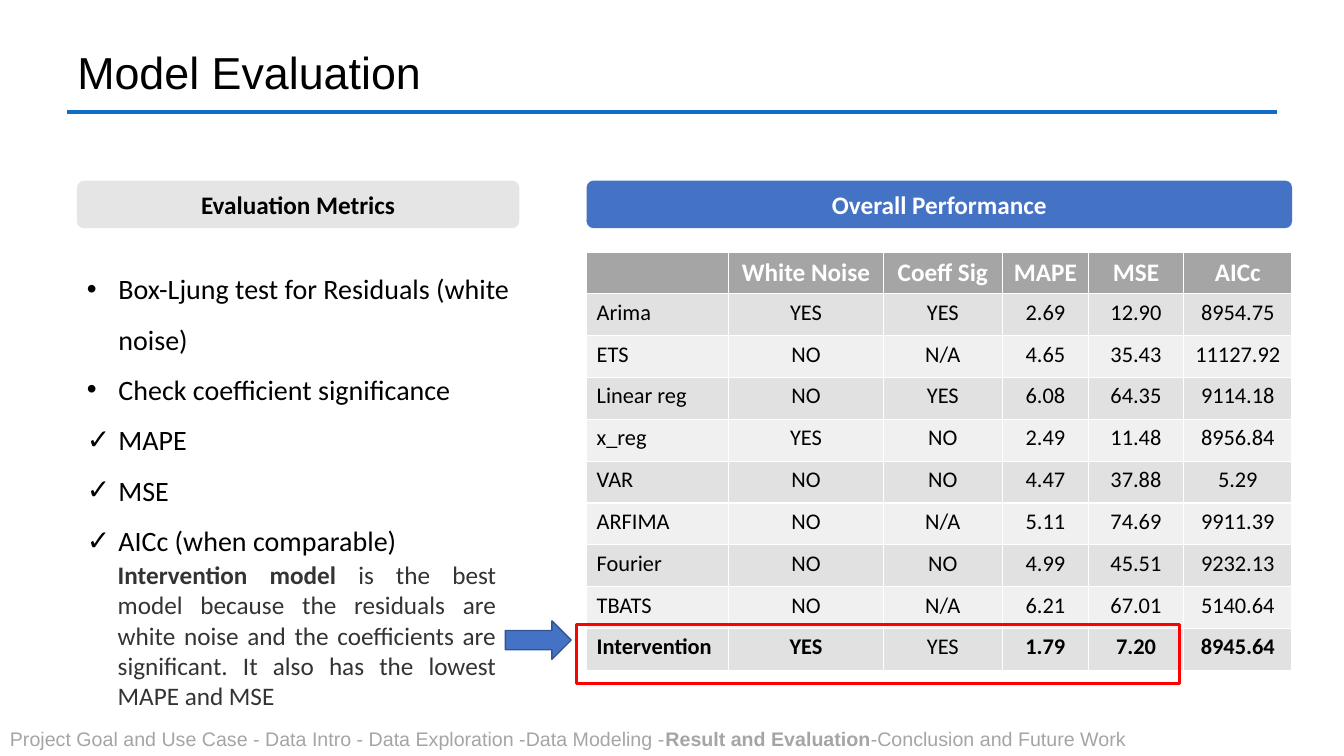
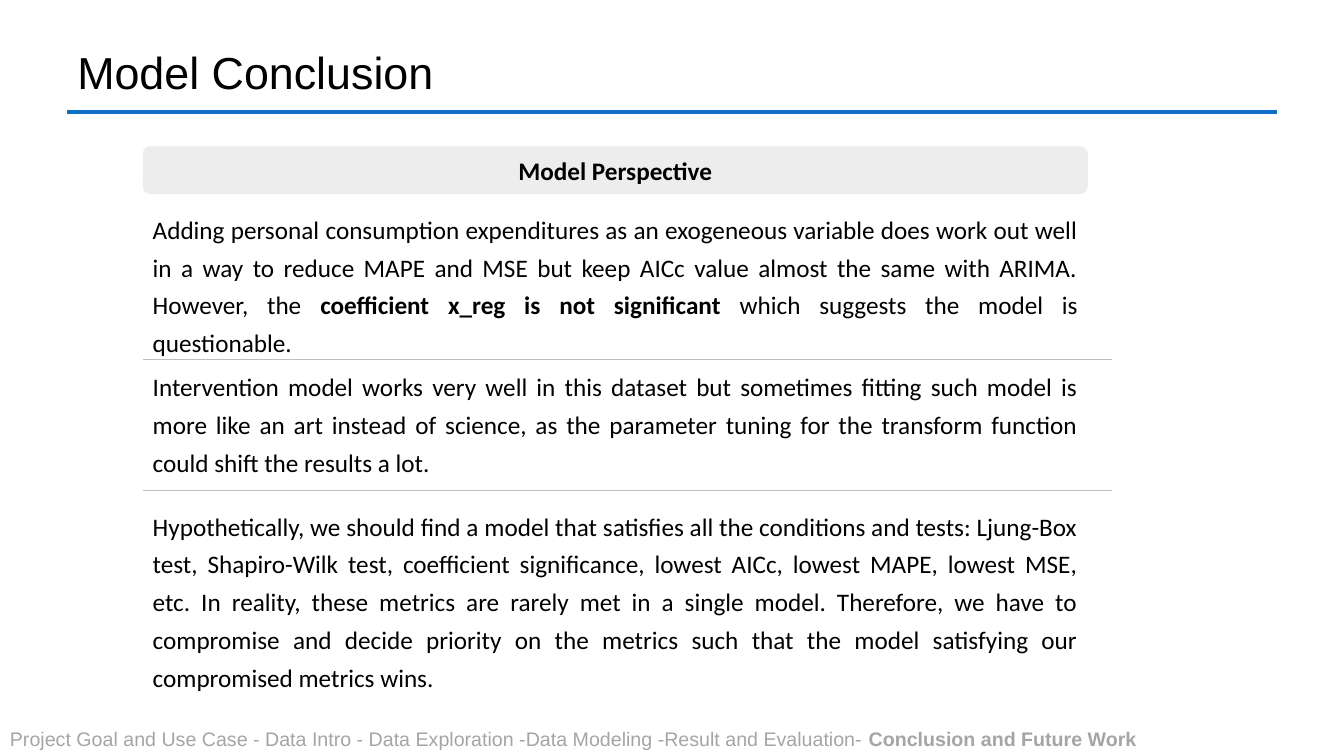
from lxml import etree
from pptx import Presentation
from pptx.dml.color import RGBColor
from pptx.enum.shapes import MSO_CONNECTOR, MSO_SHAPE
from pptx.enum.text import MSO_ANCHOR, PP_ALIGN
from pptx.oxml.ns import qn
from pptx.util import Pt

LEFT, CENTER, JUSTIFY = PP_ALIGN.LEFT, PP_ALIGN.CENTER, PP_ALIGN.JUSTIFY
MIDDLE = MSO_ANCHOR.MIDDLE
STRAIGHT = MSO_CONNECTOR.STRAIGHT
ROUNDED, RECTANGLE = MSO_SHAPE.ROUNDED_RECTANGLE, MSO_SHAPE.RECTANGLE
RIGHT_ARROW = MSO_SHAPE.RIGHT_ARROW

BLACK, WHITE, CHARCOAL = "000000", "FFFFFF", "333333"
GRAY, MID_GRAY, LINE_GRAY = "A5A5A5", "808080", "BFBFBF"
TITLE_BLUE, BLUE, DARK_BLUE, RED = "0F6FC6", "4472C4", "325491", "FF0000"
BANDS = ("E1E1E1", "F0F0F0")
HEADING_FONT, BODY_FONT = "Arial", "Calibri"


def rgb(value):
    return RGBColor.from_string(value)


def write(paragraph, text, size, color, align=LEFT, font=BODY_FONT, spacing=1.0):
    """Fill a paragraph; stretches between ** marks become bold."""
    paragraph.alignment = align
    paragraph.line_spacing = spacing
    paragraph.font.size = Pt(size)
    paragraph.font.name = font
    paragraph.font.color.rgb = rgb(color)
    for index, part in enumerate(text.split("**")):
        if part:
            run = paragraph.add_run()
            run.text = part
            run.font.bold = index % 2 == 1


prs = Presentation()
prs.slide_width, prs.slide_height = Pt(960), Pt(540)
title_only = prs.slide_layouts[5]

# Title, rule and footer on both slides
pages = [
    ("Model Evaluation",
     "Project Goal and Use Case - Data Intro - Data Exploration -Data Modeling -"
     "**Result and Evaluation**-Conclusion and Future Work"),
    ("Model Conclusion",
     "Project Goal and Use Case - Data Intro - Data Exploration -Data Modeling -"
     "Result and Evaluation- **Conclusion and Future Work**"),
]
rules = []
passages = []
for heading, trail in pages:
    slide = prs.slides.add_slide(title_only)
    title = slide.shapes.title
    title.left, title.top, title.width, title.height = Pt(48), Pt(28), Pt(828), Pt(51)
    title.text_frame.vertical_anchor = MIDDLE
    write(title.text_frame.paragraphs[0], heading, 32, BLACK,
          font=HEADING_FONT, spacing=0.9)
    rules.append((slide, 48, 912, 80, TITLE_BLUE, 3))
    passages.append((slide, (0, 515.5, 857, 24.5), trail, 14, GRAY, LEFT, HEADING_FONT, 1.0))
evaluation, conclusion = prs.slides

# Section banners: slide, left, top, width, label, fill, opacity, text colour
banners = [
    (evaluation, 55, 129, 316, "Evaluation Metrics", MID_GRAY, 20, BLACK),
    (evaluation, 419, 129, 504, "Overall Performance", BLUE, 100, WHITE),
    (conclusion, 102, 104.5, 675, "Model Perspective", GRAY, 20, BLACK),
]
for slide, left, top, width, label, fill, opacity, color in banners:
    banner = slide.shapes.add_shape(ROUNDED, Pt(left), Pt(top), Pt(width), Pt(34))
    banner.adjustments[0] = 0.15
    banner.shadow.inherit = False
    banner.fill.solid()
    banner.fill.fore_color.rgb = rgb(fill)
    banner.line.fill.background()
    if opacity < 100:
        tint = banner._element.spPr.find(qn("a:solidFill"))[0]
        etree.SubElement(tint, qn("a:alpha")).set("val", str(opacity * 1000))
    banner.text_frame.word_wrap = False
    banner.text_frame.vertical_anchor = MIDDLE
    write(banner.text_frame.paragraphs[0], f"**{label}**", 18, color, CENTER)

# Evaluation metrics list
metrics = [
    ("•", "Box-Ljung test for Residuals (white noise)"),
    ("•", "Check coefficient significance"),
    ("✓", "MAPE"),
    ("✓", "MSE"),
    ("✓", "AICc (when comparable)"),
]
metric_frame = evaluation.shapes.add_textbox(Pt(55), Pt(178.5), Pt(316), Pt(258)).text_frame
metric_frame.word_wrap = True
for index, (mark, metric) in enumerate(metrics):
    paragraph = metric_frame.add_paragraph() if index else metric_frame.paragraphs[0]
    properties = paragraph._p.get_or_add_pPr()
    properties.set("marL", str(Pt(22.5)))
    properties.set("indent", str(-Pt(22.5)))
    etree.SubElement(properties, qn("a:buFont")).set("typeface", HEADING_FONT)
    etree.SubElement(properties, qn("a:buChar")).set("char", mark)
    write(paragraph, metric, 20, BLACK, spacing=1.5)

# Performance table
results = [
    ("", "**White Noise**", "**Coeff Sig**", "**MAPE**", "**MSE**", "**AICc**"),
    ("Arima", "YES", "YES", "2.69", "12.90", "8954.75"),
    ("ETS", "NO", "N/A", "4.65", "35.43", "11127.92"),
    ("Linear reg", "NO", "YES", "6.08", "64.35", "9114.18"),
    ("x_reg", "YES", "NO", "2.49", "11.48", "8956.84"),
    ("VAR", "NO", "NO", "4.47", "37.88", "5.29"),
    ("ARFIMA", "NO", "N/A", "5.11", "74.69", "9911.39"),
    ("Fourier", "NO", "NO", "4.99", "45.51", "9232.13"),
    ("TBATS", "NO", "N/A", "6.21", "67.01", "5140.64"),
    ("**Intervention**", "**YES**", "YES", "**1.79**", "**7.20**", "**8945.64**"),
]
column_widths = (101.5, 110.5, 85, 61.5, 68, 77.5)
row_height = 29.9
performance = evaluation.shapes.add_table(
    len(results), len(column_widths), Pt(419), Pt(180),
    Pt(sum(column_widths)), Pt(row_height * len(results))).table
for column, width in zip(performance.columns, column_widths):
    column.width = Pt(width)
for r, values in enumerate(results):
    performance.rows[r].height = Pt(row_height)
    for c, value in enumerate(values):
        cell = performance.cell(r, c)
        cell.fill.solid()
        cell.fill.fore_color.rgb = rgb(BANDS[(r - 1) % 2] if r else GRAY)
        write(cell.text_frame.paragraphs[0], value, 16 if r else 18,
              BLACK if r else WHITE, CENTER if c else LEFT)

# Highlight of the best model
best_frame = evaluation.shapes.add_shape(RECTANGLE, Pt(412), Pt(446), Pt(430.5), Pt(42))
best_frame.fill.background()
best_arrow = evaluation.shapes.add_shape(RIGHT_ARROW, Pt(361), Pt(443.5), Pt(47), Pt(27.5))
best_arrow.fill.solid()
best_arrow.fill.fore_color.rgb = rgb(BLUE)
for pointer, color, weight in ((best_frame, RED, 2.25), (best_arrow, DARK_BLUE, 1)):
    pointer.shadow.inherit = False
    pointer.line.color.rgb = rgb(color)
    pointer.line.width = Pt(weight)

# Running text
passages.append((
    evaluation, (77, 396, 284.5, 116.5),
    "**Intervention model **is the best model because the residuals are white noise and "
    "the coefficients are significant. It also has the lowest MAPE and MSE",
    18, CHARCOAL, JUSTIFY, BODY_FONT, 1.0))
findings = [
    (144, 126,
     "Adding personal consumption expenditures as an exogeneous variable does work out "
     "well in a way to reduce MAPE and MSE but keep AICc value almost the same with "
     "ARIMA. However, the **coefficient x_reg is not significant **which suggests the "
     "model is questionable."),
    (256.5, 88,
     "Intervention model works very well in this dataset but sometimes fitting such "
     "model is more like an art instead of science, as the parameter tuning for the "
     "transform function could shift the results a lot."),
    (356, 142,
     "Hypothetically, we should find a model that satisfies all the conditions and "
     "tests: Ljung-Box test, Shapiro-Wilk test, coefficient significance, lowest AICc, "
     "lowest MAPE, lowest MSE, etc. In reality, these metrics are rarely met in a single "
     "model. Therefore, we have to compromise and decide priority on the metrics such "
     "that the model satisfying our compromised metrics wins."),
]
for top, height, finding in findings:
    passages.append((conclusion, (102, top, 675, height), finding,
                     18, BLACK, JUSTIFY, BODY_FONT, 1.25))
for slide, box, text, size, color, align, font, spacing in passages:
    frame = slide.shapes.add_textbox(*map(Pt, box)).text_frame
    frame.word_wrap = True
    write(frame.paragraphs[0], text, size, color, align, font, spacing)

# Title rules and dividers between findings
for y in (256.5, 350.5):
    rules.append((conclusion, 102, 794, y, LINE_GRAY, 0.25))
for slide, start, end, y, color, weight in rules:
    rule = slide.shapes.add_connector(STRAIGHT, Pt(start), Pt(y), Pt(end), Pt(y))
    rule.line.color.rgb = rgb(color)
    rule.line.width = Pt(weight)
    etree.SubElement(rule._element.spPr, qn("a:effectLst"))

prs.save("out.pptx")
